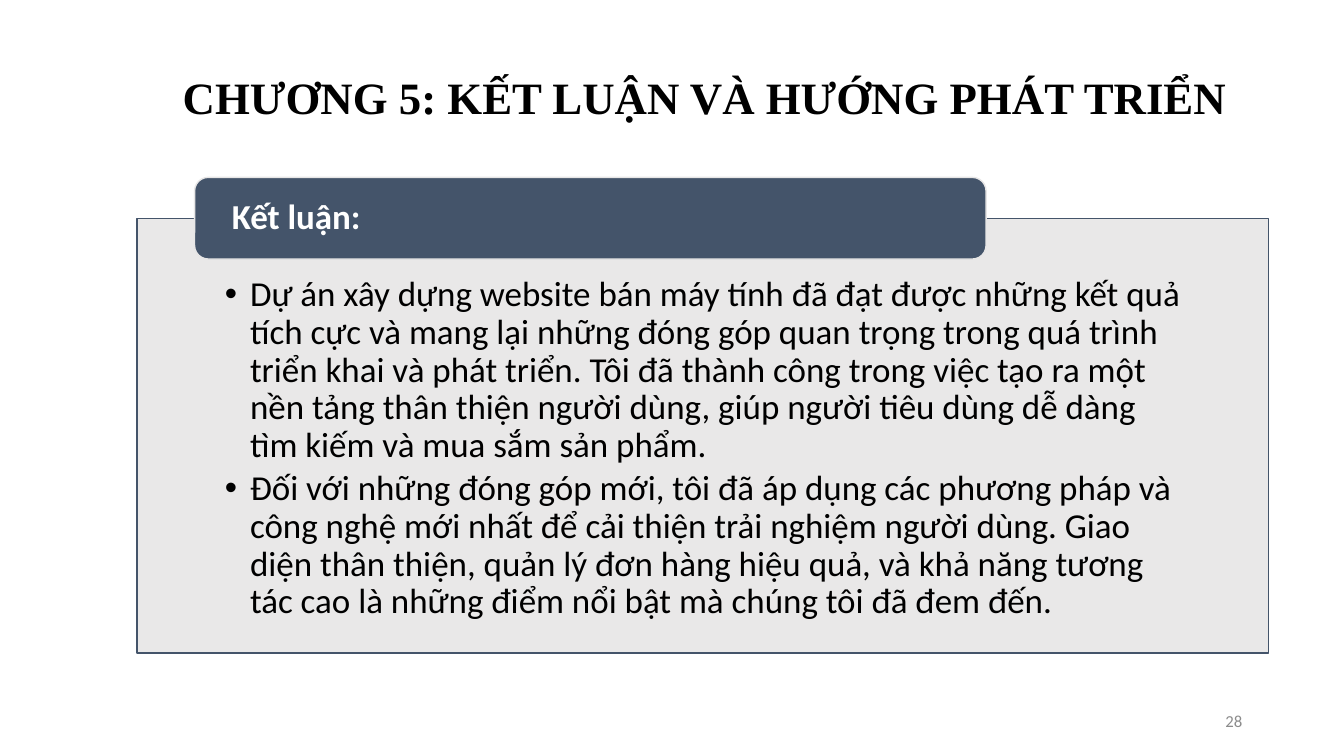
"""Build the conclusion slide: chapter title, headed panel with bullets, page number."""
from dataclasses import dataclass
from typing import Optional

import lxml.etree
import pptx
import pptx.dml.color
import pptx.enum.shapes
import pptx.enum.text
import pptx.oxml.ns
import pptx.util

Inches = pptx.util.Inches
Pt = pptx.util.Pt
qn = pptx.oxml.ns.qn
Shape = pptx.enum.shapes.MSO_SHAPE
Align = pptx.enum.text.PP_ALIGN
Anchor = pptx.enum.text.MSO_ANCHOR

COLORS = {"navy": "44546A", "light": "E7E6E6", "black": "000000",
          "white": "FFFFFF", "gray": "8C8C8C"}

TITLE = "CHƯƠNG 5: KẾT LUẬN VÀ HƯỚNG PHÁT TRIỂN"
HEADING = "Kết luận:"
CONCLUSIONS = [
    "Dự án xây dựng website bán máy tính đã đạt được những kết quả tích cực và mang lại "
    "những đóng góp quan trọng trong quá trình triển khai và phát triển. Tôi đã thành công "
    "trong việc tạo ra một nền tảng thân thiện người dùng, giúp người tiêu dùng dễ dàng tìm "
    "kiếm và mua sắm sản phẩm.",
    "Đối với những đóng góp mới, tôi đã áp dụng các phương pháp và công nghệ mới nhất để cải "
    "thiện trải nghiệm người dùng. Giao diện thân thiện, quản lý đơn hàng hiệu quả, và khả "
    "năng tương tác cao là những điểm nổi bật mà chúng tôi đã đem đến.",
]


@dataclass
class Box:
    """A rectangle in inches, with an optional preset shape and its colours."""
    left: float
    top: float
    width: float
    height: float
    preset: Optional[Shape] = None
    fill: str = ""
    line: str = ""
    opacity: int = 100


TITLE_BOX = Box(1.67, 0.76, 10.64, 0.52)
PANEL = Box(1.36, 2.17, 11.22, 4.31, Shape.RECTANGLE, "light", "navy", 90)
HEADER = Box(1.93, 1.76, 7.85, 0.81, Shape.ROUNDED_RECTANGLE, "navy", "light")
NUMBER_BOX = Box(9.42, 6.95, 3, 0.4)


def rgb(name: str) -> pptx.dml.color.RGBColor:
    """Return the named colour."""
    return pptx.dml.color.RGBColor.from_string(COLORS[name])


def draw_box(slide, box: Box):
    """Draw a text box, or a filled shape when the box has a preset."""
    place = [Inches(v) for v in (box.left, box.top, box.width, box.height)]
    if box.preset is None:
        return slide.shapes.add_textbox(*place)
    sp = slide.shapes.add_shape(box.preset, *place)
    sp.shadow.inherit = False
    sp.fill.solid()
    sp.fill.fore_color.rgb = rgb(box.fill)
    sp.line.color.rgb = rgb(box.line)
    sp.line.width = Pt(1)
    if box.opacity < 100:
        color = sp.fill._xPr.find(qn("a:solidFill"))[0]
        lxml.etree.SubElement(color, qn("a:alpha"), val=str(box.opacity * 1000))
    return sp


def add_bullet(p) -> None:
    """Give a paragraph a hanging round bullet."""
    p.level = 1
    pPr = p._p.get_or_add_pPr()
    pPr.set("marL", str(Inches(0.25)))
    pPr.set("indent", str(-Inches(0.25)))
    lxml.etree.SubElement(pPr, qn("a:buFont"), typeface="Arial")
    lxml.etree.SubElement(pPr, qn("a:buChar"), char="•")


def write(sp, *texts: str, size: float, color: str = "black", font: str = "Calibri",
          bold: bool = False, align: Align = Align.LEFT, anchor: Anchor = Anchor.MIDDLE,
          insets: tuple = (0.1, 0.05, 0.1, 0.05), spacing: float = 0.9,
          after: float = 0, bullets: bool = False) -> None:
    """Write one paragraph per text into a shape."""
    tf = sp.text_frame
    tf.word_wrap = True
    tf.vertical_anchor = anchor
    tf.margin_left, tf.margin_top, tf.margin_right, tf.margin_bottom = map(Inches, insets)
    for i, text in enumerate(texts):
        p = tf.add_paragraph() if i else tf.paragraphs[0]
        p.alignment = align
        p.line_spacing = spacing
        p.space_after = Pt(after)
        if bullets:
            add_bullet(p)
        r = p.add_run()
        r.text = text
        r.font.name = font
        r.font.size = Pt(size)
        r.font.bold = bold
        r.font.color.rgb = rgb(color)


def main() -> None:
    """Build and save the slide."""
    prs = pptx.Presentation()
    prs.slide_width, prs.slide_height = Inches(13.33), Inches(7.5)
    slide = prs.slides.add_slide(prs.slide_layouts[6])
    write(draw_box(slide, TITLE_BOX), TITLE, size=32, font="Times New Roman", bold=True,
          align=Align.CENTER, anchor=Anchor.BOTTOM)
    write(draw_box(slide, PANEL), *CONCLUSIONS, size=25, anchor=Anchor.TOP,
          insets=(0.87, 0.57, 0.87, 0.19), after=3.75, bullets=True)
    write(draw_box(slide, HEADER), HEADING, size=25, color="white", bold=True,
          insets=(0.33, 0, 0.33, 0))
    write(draw_box(slide, NUMBER_BOX), "28", size=12, color="gray", align=Align.RIGHT,
          spacing=1.0)
    prs.save("out.pptx")


if __name__ == "__main__":
    main()
